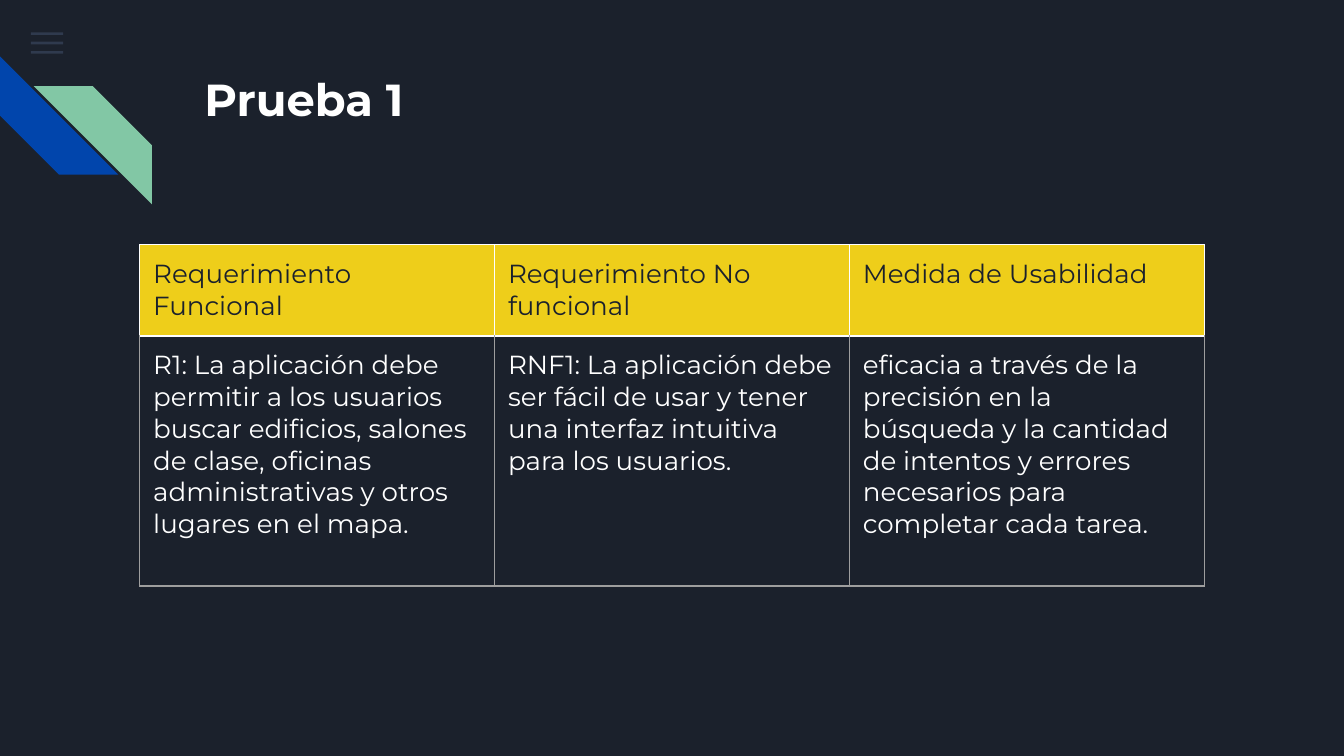
from lxml.etree import SubElement
from pptx import Presentation
from pptx.dml.color import RGBColor
from pptx.enum.shapes import MSO_SHAPE as Shape
from pptx.enum.text import MSO_ANCHOR as Anchor, MSO_AUTO_SIZE as AutoSize, PP_ALIGN as Align
from pptx.oxml.ns import qn
from pptx.util import Inches, Pt

NAVY = RGBColor(0x1B, 0x21, 0x2C)
SLATE = RGBColor(0x55, 0x68, 0x8B)
BLUE = RGBColor(0x01, 0x45, 0xAC)
GREEN = RGBColor(0x82, 0xC7, 0xA5)
YELLOW = RGBColor(0xEE, 0xCE, 0x1A)
WHITE = RGBColor(0xFF, 0xFF, 0xFF)
GRAY = RGBColor(0x9E, 0x9E, 0x9E)
FONT = "Montserrat"

HEADERS = ["Requerimiento Funcional", "Requerimiento No funcional", "Medida de Usabilidad"]
REQUIREMENTS = [
    "R1: La aplicación debe permitir a los usuarios buscar edificios, salones de clase, "
    "oficinas administrativas y otros lugares en el mapa.",
    "RNF1: La aplicación debe ser fácil de usar y tener una interfaz intuitiva para los usuarios.",
    "eficacia a través de la precisión en la búsqueda y la cantidad de intentos y errores "
    "necesarios para completar cada tarea.",
]


def set_font(paragraph, size, color, bold=False):
    font = paragraph.font
    font.name, font.size, font.bold = FONT, Pt(size), bold
    font.color.rgb = color


def set_insets(target):
    target.margin_left = target.margin_right = Inches(0.1)
    target.margin_top = target.margin_bottom = Inches(0.1)


def add_filled(slide, preset, left, top, width, height, color, rotation=0):
    part = slide.shapes.add_shape(
        preset, Inches(left), Inches(top), Inches(width), Inches(height))
    part.shadow.inherit = False
    part.fill.solid()
    part.fill.fore_color.rgb = color
    part.line.fill.background()
    part.rotation = rotation
    return part


def add_menu_icon(slide):
    for row in range(3):
        bar = add_filled(slide, Shape.RECTANGLE, 0.23, 0.24 + 0.07 * row, 0.24, 0.02, SLATE)
        tint = bar.fill._xPr.find(f"{qn('a:solidFill')}/{qn('a:srgbClr')}")
        SubElement(tint, qn("a:alpha"), val="36000")


def add_stripes(slide):
    for left, top, color, rotation in [(0, 0.42, BLUE, 270), (0.25, 0.64, GREEN, 90)]:
        add_filled(slide, Shape.DIAGONAL_STRIPE, left, top, 0.88, 0.88, color, rotation)


def set_title(slide, text):
    title = slide.shapes.title
    title.left, title.top = Inches(1.42), Inches(0.43)
    title.width, title.height = Inches(7.7), Inches(1)
    frame = title.text_frame
    frame.text = text
    frame.word_wrap = True
    frame.auto_size = AutoSize.NONE
    frame.vertical_anchor = Anchor.TOP
    set_insets(frame)
    heading = frame.paragraphs[0]
    heading.alignment = Align.LEFT
    set_font(heading, 24, WHITE, bold=True)


def set_borders(cell, side_color, top_color, bottom_color):
    properties = cell._tc.get_or_add_tcPr()
    sides = {"lnL": side_color, "lnR": side_color, "lnT": top_color, "lnB": bottom_color}
    for side, color in sides.items():
        border = SubElement(properties, qn(f"a:{side}"), w=str(Pt(0.75)))
        fill = SubElement(border, qn("a:solidFill"))
        SubElement(fill, qn("a:srgbClr"), val=str(color))


def fill_cell(cell, text, is_header):
    line_color = WHITE if is_header else GRAY
    set_borders(cell, line_color, WHITE, line_color)
    if is_header:
        cell.fill.solid()
        cell.fill.fore_color.rgb = YELLOW
    else:
        cell.fill.background()
    set_insets(cell)
    cell.vertical_anchor = Anchor.TOP
    cell.text = text
    set_font(cell.text_frame.paragraphs[0], 14, NAVY if is_header else WHITE)


def add_requirements(slide):
    table = slide.shapes.add_table(
        2, 3, Inches(1.04), Inches(1.82), Inches(7.92), Inches(2.54)).table
    table.first_row = table.horz_banding = False
    for column in table.columns:
        column.width = Inches(2.64)
    for row, height in zip(table.rows, [0.68, 1.86]):
        row.height = Inches(height)
    for row, texts in enumerate([HEADERS, REQUIREMENTS]):
        for column, text in enumerate(texts):
            fill_cell(table.cell(row, column), text, is_header=row == 0)


def main():
    deck = Presentation()
    deck.slide_width = Inches(10)
    deck.slide_height = deck.slide_width * 9 // 16
    slide = deck.slides.add_slide(deck.slide_layouts[5])
    slide.background.fill.solid()
    slide.background.fill.fore_color.rgb = NAVY
    add_menu_icon(slide)
    add_stripes(slide)
    set_title(slide, "Prueba 1")
    add_requirements(slide)
    deck.save("out.pptx")


if __name__ == "__main__":
    main()
